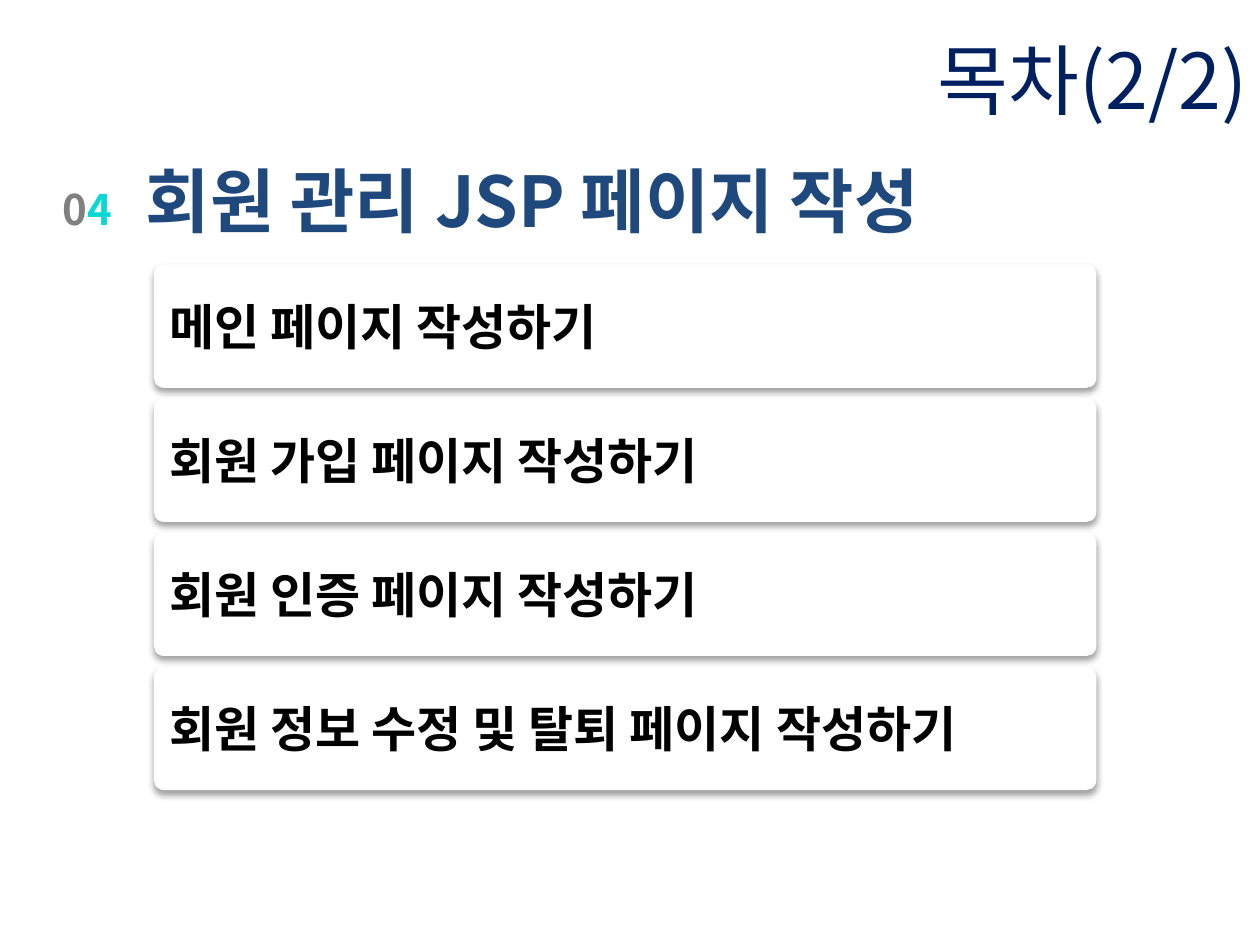
from lxml import etree
from pptx import Presentation
from pptx import util as u
from pptx.dml.color import RGBColor
from pptx.enum import shapes, text
from pptx.oxml import ns

FONT = "Noto Sans CJK KR"
NAVY = RGBColor(0x00, 0x20, 0x60)
BLUE = RGBColor(0x1F, 0x49, 0x7D)
GRAY = RGBColor(0x80, 0x80, 0x80)
TURQUOISE = RGBColor(0x07, 0xD8, 0xD3)
BLACK = RGBColor(0x00, 0x00, 0x00)
WHITE = RGBColor(0xFF, 0xFF, 0xFF)

TOPICS = [
    "메인 페이지 작성하기",
    "회원 가입 페이지 작성하기",
    "회원 인증 페이지 작성하기",
    "회원 정보 수정 및 탈퇴 페이지 작성하기",
]


def add_text(paragraph, words, size, color, bold=False, align=text.PP_ALIGN.LEFT):
    """Append a formatted run to a paragraph."""
    paragraph.alignment = align
    run = paragraph.add_run()
    run.text = words
    run.font.size = u.Pt(size)
    run.font.bold = bold
    run.font.color.rgb = color
    run.font.name = FONT
    east_asian = etree.SubElement(run.font._element, ns.qn("a:ea"))
    east_asian.set("typeface", FONT)


def place(shape, left, top, width, height):
    """Set the position and size of a shape in points."""
    shape.left, shape.top = u.Pt(left), u.Pt(top)
    shape.width, shape.height = u.Pt(width), u.Pt(height)


def add_box(slide, left, top, width, height):
    """Add a wrapping text box and return its first paragraph."""
    box = slide.shapes.add_textbox(u.Pt(left), u.Pt(top), u.Pt(width), u.Pt(height))
    box.text_frame.word_wrap = True
    return box.text_frame.paragraphs[0]


def add_soft_shadow(shape):
    """Give a shape a soft shadow that falls straight down."""
    shape.shadow.inherit = False
    effects = shape._element.spPr.find(ns.qn("a:effectLst"))
    shadow = etree.SubElement(
        effects, ns.qn("a:outerShdw"), blurRad=str(u.Pt(3.5)), dist=str(u.Pt(2.2)),
        dir="5400000", algn="t", rotWithShape="0")
    color = etree.SubElement(shadow, ns.qn("a:srgbClr"), val=str(BLACK))
    etree.SubElement(color, ns.qn("a:alpha"), val="36000")


def add_title(slide, left, top, width, height):
    """Fill the title placeholder."""
    title = slide.shapes.title
    place(title, left, top, width, height)
    title.text_frame.vertical_anchor = text.MSO_ANCHOR.MIDDLE
    add_text(title.text_frame.paragraphs[0], "목차(2/2)", size=44, color=NAVY,
             align=text.PP_ALIGN.RIGHT)


def add_section_heading(slide, left, top, width, height):
    """Add the two-coloured section number and the section name."""
    number = add_box(slide, left, top + 13, 51, 36)
    for digit, color in (("0", GRAY), ("4", TURQUOISE)):
        add_text(number, digit, size=24, color=color, bold=True,
                 align=text.PP_ALIGN.CENTER)
    name = add_box(slide, left + 51.8, top, width - 51.8, height)
    name.line_spacing = u.Pt(46)
    add_text(name, "회원 관리 JSP 페이지 작성", size=40, color=BLUE, bold=True)


def add_topics(slide, left, top, width, height, gap=6):
    """Stack one raised card for each topic in the given box."""
    card_height = (height - gap * (len(TOPICS) - 1)) / len(TOPICS)
    for index, topic in enumerate(TOPICS):
        card_top = top + index * (card_height + gap)
        card = slide.shapes.add_shape(
            shapes.MSO_SHAPE.ROUNDED_RECTANGLE,
            u.Pt(left), u.Pt(card_top), u.Pt(width), u.Pt(card_height))
        card.adjustments[0] = 0.08
        card.fill.solid()
        card.fill.fore_color.rgb = WHITE
        card.line.fill.background()
        add_soft_shadow(card)
        card.text_frame.word_wrap = True
        card.text_frame.vertical_anchor = text.MSO_ANCHOR.MIDDLE
        add_text(card.text_frame.paragraphs[0], topic, size=28, color=BLACK,
                 bold=True, align=text.PP_ALIGN.JUSTIFY)


def main():
    """Build the contents slide and save it."""
    presentation = Presentation()
    presentation.slide_width, presentation.slide_height = u.Pt(720), u.Pt(540)
    slide = presentation.slides.add_slide(presentation.slide_layouts[5])
    add_title(slide, 0, 0, 720, 90)
    add_section_heading(slide, 24.5, 88.5, 566.5, 54)
    add_topics(slide, 88, 151, 538.5, 300.5)
    presentation.save("out.pptx")


if __name__ == "__main__":
    main()
